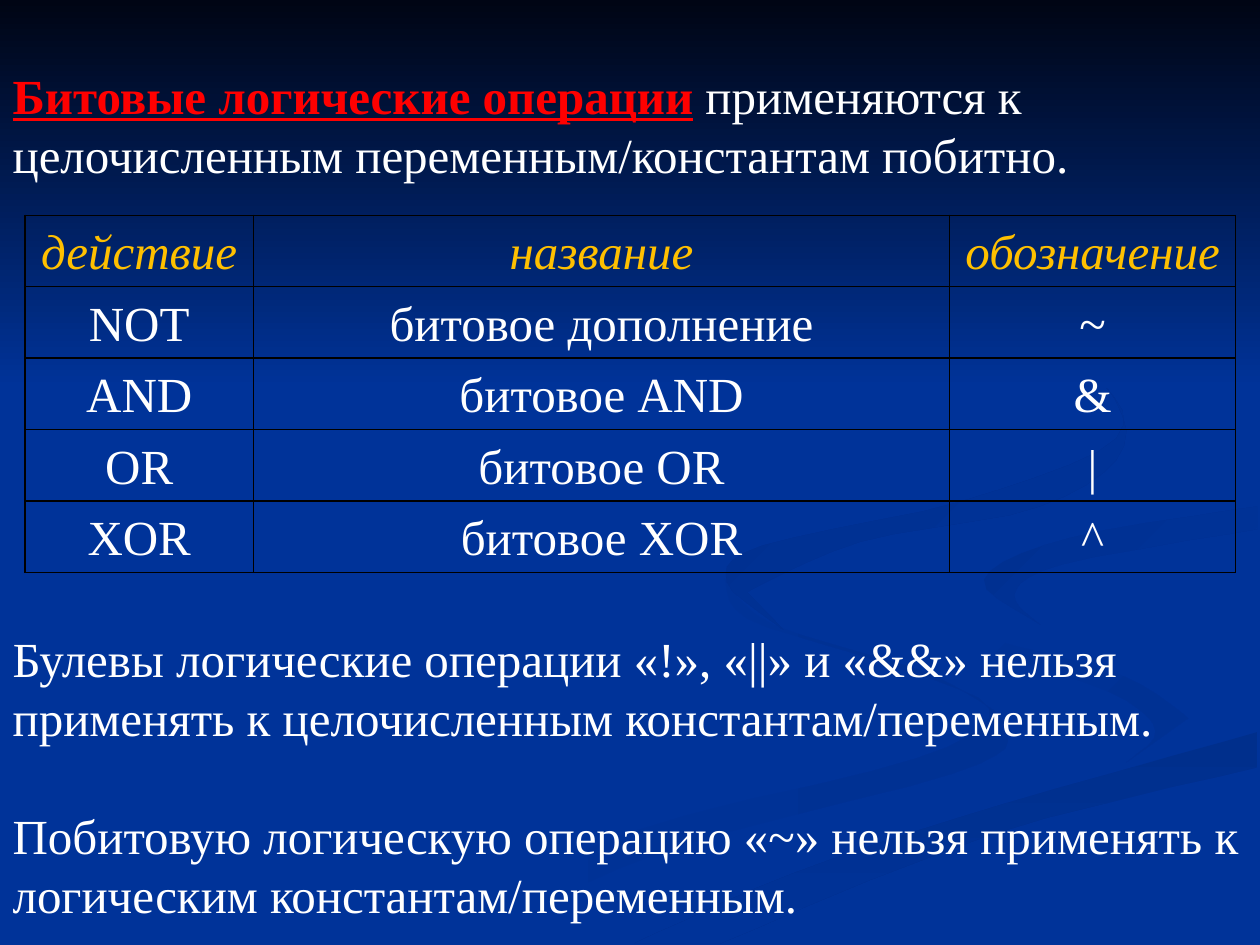
from dataclasses import dataclass

import pptx
import pptx.dml.color
import pptx.enum.text
import pptx.oxml
import pptx.oxml.ns
import pptx.util
from pptx.util import Cm, Pt

FONT, SIZE = "Times New Roman", 28
LINE = 33.6  # height of one text line, points
BLUE, WHITE, AMBER, RED, BLACK = "003399", "FFFFFF", "FFC000", "FF0000", "000000"
GRID = Cm(0.0254)  # unit of the background outlines
STEPS = 5  # straight pieces between two points of a curve
ALIGN = pptx.enum.text.PP_ALIGN
ANCHOR = pptx.enum.text.MSO_ANCHOR

Point = tuple[float, float]


@dataclass
class Ribbon:
    """A band between two curves; the second runs back to the start of the first."""
    start: str
    end: str
    angle: int  # clockwise
    there: list[Point]
    back: list[Point]


RIBBONS = [
    Ribbon(BLUE, "003193", 0,
           [(575, 459), (593, 491), (697, 525), (785, 562), (727, 602), (499, 661), (300, 749)],
           [(361, 749), (532, 674), (756, 614), (800, 581), (745, 538), (614, 496), (575, 459)]),
    Ribbon(BLUE, "003193", 45,
           [(724, 464), (755, 505), (880, 549), (917, 580), (894, 605)],
           [(943, 570), (888, 535), (758, 498), (724, 464)]),
    Ribbon("002F8C", BLUE, 90,
           [(503, 749), (630, 693), (797, 638), (998, 581)],
           [(998, 609), (785, 663), (571, 749)]),
    Ribbon("003091", BLUE, 45,
           [(826, 496), (805, 472), (843, 448), (998, 420)],
           [(998, 402), (849, 427), (781, 460), (826, 496)]),
    Ribbon("002F8E", BLUE, 45,
           [(762, 233), (862, 292), (886, 348), (763, 398), (605, 433), (577, 462), (622, 500)],
           [(593, 470), (683, 430), (825, 402), (892, 354), (864, 291), (762, 233)]),
]
TOP_SHADE = Ribbon("000514", BLUE, 90, [(0, 0), (1000, 0)], [(1000, 308), (0, 308)])

ROWS = [
    ("действие", "название", "обозначение"),
    ("NOT", "битовое дополнение", "~"),
    ("AND", "битовое AND", "&"),
    ("OR", "битовое OR", "|"),
    ("XOR", "битовое XOR", "^"),
]
COLUMNS = (4.61, 14.03, 5.77)
ROW_HEIGHT = 1.44


def rgb(value: str) -> pptx.dml.color.RGBColor:
    return pptx.dml.color.RGBColor.from_string(value)


def write(p, text: str, *, color: str = WHITE, bold: bool = False, italic: bool = False,
          underline: bool = False, align=ALIGN.LEFT, before: float = 0) -> None:
    """Append a formatted run to paragraph p."""
    p.alignment, p.space_before = align, Pt(before)
    r = p.add_run()
    r.text = text
    f = r.font
    f.name, f.size, f.color.rgb = FONT, Pt(SIZE), rgb(color)
    f.bold, f.italic, f.underline = bold, italic, underline


def smooth(points: list[Point]) -> list[Point]:
    """Catmull-Rom curve through the points."""
    padded = [points[0], *points, points[-1]]
    curve = [points[0]]
    for a, b, c, d in zip(padded, padded[1:], padded[2:], padded[3:]):
        for step in range(1, STEPS + 1):
            t = step / STEPS
            curve.append(tuple(
                q + t / 2 * (r - p + t * (2 * p - 5 * q + 4 * r - u
                                          + t * (3 * (q - r) + u - p)))
                for p, q, r, u in zip(a, b, c, d)))
    return curve


def draw_ribbon(s, ribbon: Ribbon) -> None:
    first, *rest = smooth(ribbon.there) + smooth(ribbon.back)
    builder = s.shapes.build_freeform(*first, scale=GRID)
    builder.add_line_segments(rest, close=True)
    sp = builder.convert_to_shape()
    sp.shadow.inherit = False
    sp.line.fill.background()
    sp.fill.gradient()
    sp.fill.gradient_angle = -ribbon.angle % 360
    for stop, color in zip(sp.fill.gradient_stops, (ribbon.start, ribbon.end)):
        stop.color.rgb = rgb(color)


def place(s, sp, top: float, height: float):
    """Put a placeholder across the slide, above the background, and return its text frame."""
    s.shapes._spTree.append(sp._element)
    sp.left, sp.top, sp.width, sp.height = Cm(0), Cm(top), Cm(25.4), Cm(height)
    tf = sp.text_frame
    tf.word_wrap, tf.vertical_anchor = True, ANCHOR.TOP
    tf.auto_size = pptx.enum.text.MSO_AUTO_SIZE.NONE
    return tf


def remove_bullet(p) -> None:
    pPr = p._p.get_or_add_pPr()
    pPr.set("marL", "0")
    pPr.set("indent", "0")
    pPr.append(pptx.oxml.parse_xml(f'<a:buNone {pptx.oxml.ns.nsdecls("a")}/>'))


def add_borders(cell) -> None:
    tcPr = cell._tc.get_or_add_tcPr()
    for i, side in enumerate(("lnL", "lnR", "lnT", "lnB")):
        tcPr.insert(i, pptx.oxml.parse_xml(
            f'<a:{side} {pptx.oxml.ns.nsdecls("a")} w="{Pt(1)}"><a:solidFill>'
            f'<a:srgbClr val="{BLACK}"/></a:solidFill></a:{side}>'))


def draw_table(s) -> None:
    table = s.shapes.add_table(len(ROWS), len(COLUMNS), Cm(0.5), Cm(4.34),
                               Cm(sum(COLUMNS)), Cm(ROW_HEIGHT * len(ROWS))).table
    table.first_row = table.horz_banding = False
    for column, width in zip(table.columns, COLUMNS):
        column.width = Cm(width)
    for i, row in enumerate(ROWS):
        table.rows[i].height = Cm(ROW_HEIGHT)
        for j, text in enumerate(row):
            cell = table.cell(i, j)
            cell.vertical_anchor = ANCHOR.BOTTOM
            cell.fill.background()
            add_borders(cell)
            write(cell.text_frame.paragraphs[0], text, color=WHITE if i else AMBER,
                  italic=i == 0, align=ALIGN.CENTER)


def main() -> None:
    prs = pptx.Presentation()
    prs.slide_width, prs.slide_height = Cm(25.4), Cm(19.05)
    s = prs.slides.add_slide(prs.slide_layouts[1])
    s.background.fill.solid()
    s.background.fill.fore_color.rgb = rgb(BLUE)
    for ribbon in [*RIBBONS, TOP_SHADE]:
        draw_ribbon(s, ribbon)

    title, body = s.placeholders
    p = place(s, title, 1.19, 2.62).paragraphs[0]
    write(p, "Битовые логические операции", color=RED, bold=True, underline=True)
    write(p, " применяются к целочисленным переменным/константам побитно.")

    tf = place(s, body, 12.55, 6.2)
    p = tf.paragraphs[0]
    write(p, "Булевы логические операции «!», «||» и «&&» нельзя применять "
             "к целочисленным константам/переменным.")
    remove_bullet(p)
    p = tf.add_paragraph()
    write(p, "Побитовую логическую операцию «~» нельзя применять "
             "к логическим константам/переменным.", before=LINE)
    remove_bullet(p)

    draw_table(s)
    prs.save("out.pptx")


if __name__ == "__main__":
    main()
